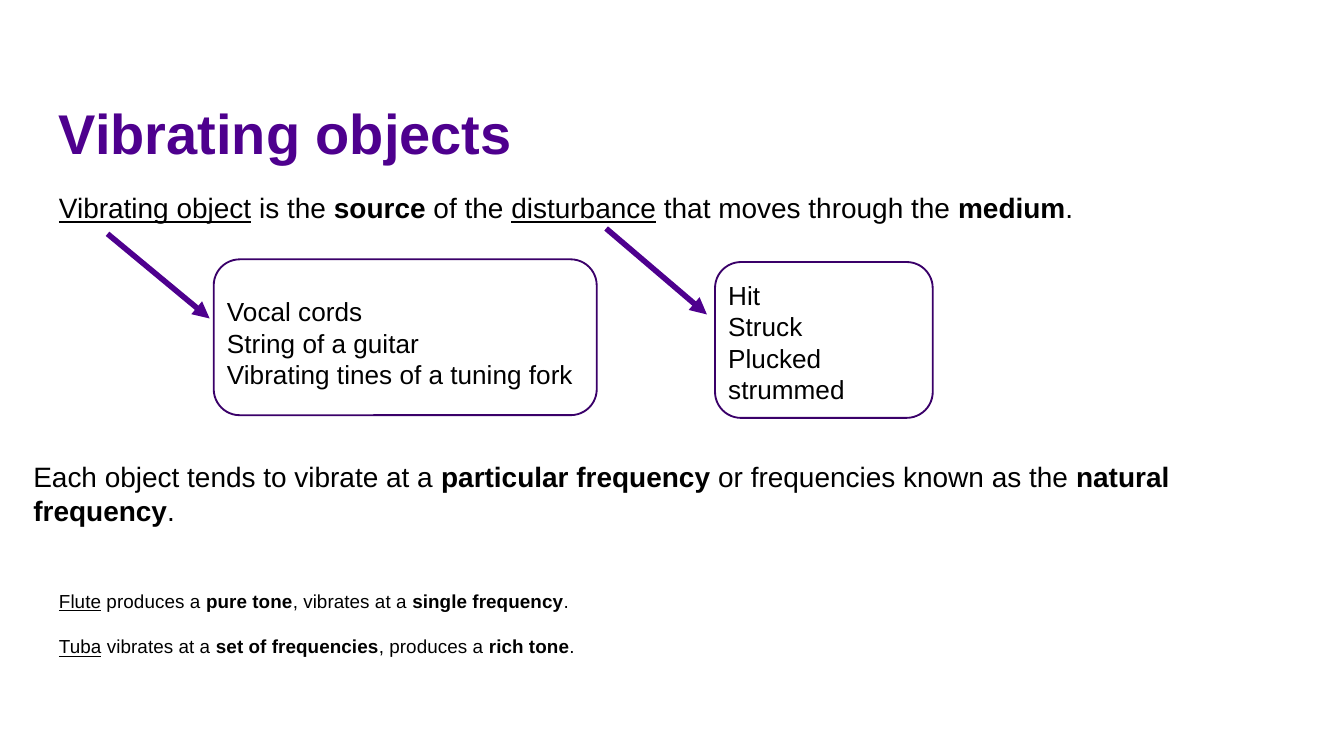
from dataclasses import dataclass

from lxml import etree
from pptx import Presentation
from pptx.dml.color import RGBColor
from pptx.enum import shapes, text
from pptx.oxml import ns
from pptx.util import Inches, Pt


@dataclass(frozen=True)
class Theme:
    font: str = "Arial"
    purple: RGBColor = RGBColor(0x4E, 0x00, 0x8E)
    outline: RGBColor = RGBColor(0x3A, 0x00, 0x69)
    ink: RGBColor = RGBColor(0x00, 0x00, 0x00)
    title: float = 30
    body: float = 15
    example: float = 14
    note: float = 10.13


theme = Theme()
BOLD = {"bold": True}
UNDERLINE = {"underline": True}

deck = Presentation()
deck.slide_width = Inches(10)
deck.slide_height = Inches(10 * 9 / 16)
page = deck.slides.add_slide(deck.slide_layouts[6])


def add_text(place, size, paragraphs, color=theme.ink, wrap=True,
             anchor=text.MSO_ANCHOR.TOP, **spacing):
    """Add a text box; a paragraph is a list of (words, format values) pairs."""
    box = page.shapes.add_textbox(*map(Inches, place))
    frame = box.text_frame
    frame.word_wrap = wrap
    frame.vertical_anchor = anchor
    for index, spans in enumerate(paragraphs):
        para = frame.paragraphs[0] if index == 0 else frame.add_paragraph()
        for name, value in spacing.items():
            if index or name != "space_before":
                setattr(para, name, value)
        for words, accents in spans:
            span = para.add_run()
            span.text = words
            span.font.color.rgb = color
            values = {"name": theme.font, "size": Pt(size), **accents}
            for name, value in values.items():
                setattr(span.font, name, value)


add_text((0.34, 0.75, 8.62, 0.53), theme.title, [[("Vibrating objects", BOLD)]],
         color=theme.purple, anchor=text.MSO_ANCHOR.MIDDLE, line_spacing=0.9)

add_text((0.34, 1.4, 8.62, 0.53), theme.body, [[
    ("Vibrating object", UNDERLINE), (" is the ", {}), ("source", BOLD),
    (" of the ", {}), ("disturbance", UNDERLINE),
    (" that moves through the ", {}), ("medium", BOLD), (".", {}),
]], line_spacing=0.9)

# Example boxes: left, width, frame top, text top, text height, lines
examples = [
    (1.59, 2.85, 1.93, 2.15, 0.81,
     ["Vocal cords", "String of a guitar", "Vibrating tines of a tuning fork"]),
    (5.32, 1.62, 1.95, 2.03, 1.04, ["Hit", "Struck", "Plucked", "strummed"]),
]
for left, width, frame_top, text_top, text_height, lines in examples:
    outline = page.shapes.add_shape(
        shapes.MSO_SHAPE.ROUNDED_RECTANGLE,
        *map(Inches, (left, frame_top, width, 1.16)))
    outline.shadow.inherit = False
    outline.fill.background()
    outline.line.color.rgb = theme.outline
    outline.line.width = Pt(1)
    add_text((left, text_top, width, text_height), theme.example,
             [[(line, {})] for line in lines])

# Arrows from the underlined terms to their examples
for ends in [(0.8, 1.74, 1.56, 2.37), (4.51, 1.7, 5.26, 2.34)]:
    arrow = page.shapes.add_connector(
        shapes.MSO_CONNECTOR.STRAIGHT, *map(Inches, ends))
    arrow.line.color.rgb = theme.purple
    arrow.line.width = Pt(3)
    properties = arrow._element.spPr
    etree.SubElement(properties.find(ns.qn("a:ln")), ns.qn("a:tailEnd"),
                     type="triangle")
    etree.SubElement(properties, ns.qn("a:effectLst"))

add_text((0.15, 3.37, 9.7, 0.61), theme.body, [[
    ("Each object tends to vibrate at a ", {}), ("particular frequency", BOLD),
    (" or frequencies known as the ", {}), ("natural frequency", BOLD), (".", {}),
]])

add_text((0.34, 4.34, 4.08, 0.78), theme.note, [
    [("Flute", UNDERLINE), (" produces a ", {}), ("pure tone", BOLD),
     (", vibrates at a ", {}), ("single frequency", BOLD), (".", {})],
    [("Tuba", UNDERLINE), (" vibrates at a ", {}), ("set of frequencies", BOLD),
     (", produces a ", {}), ("rich tone", BOLD), (".", {})],
], wrap=False, space_before=Pt(12))

deck.save("out.pptx")
